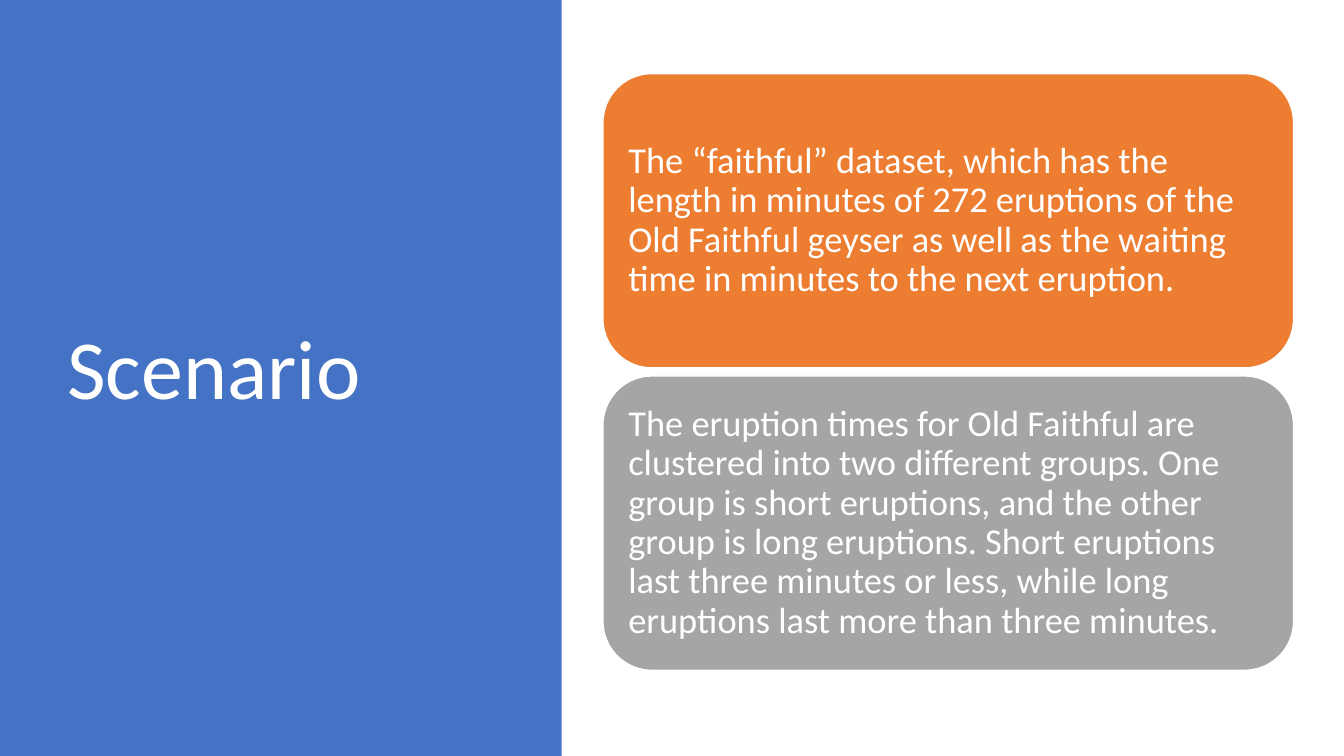
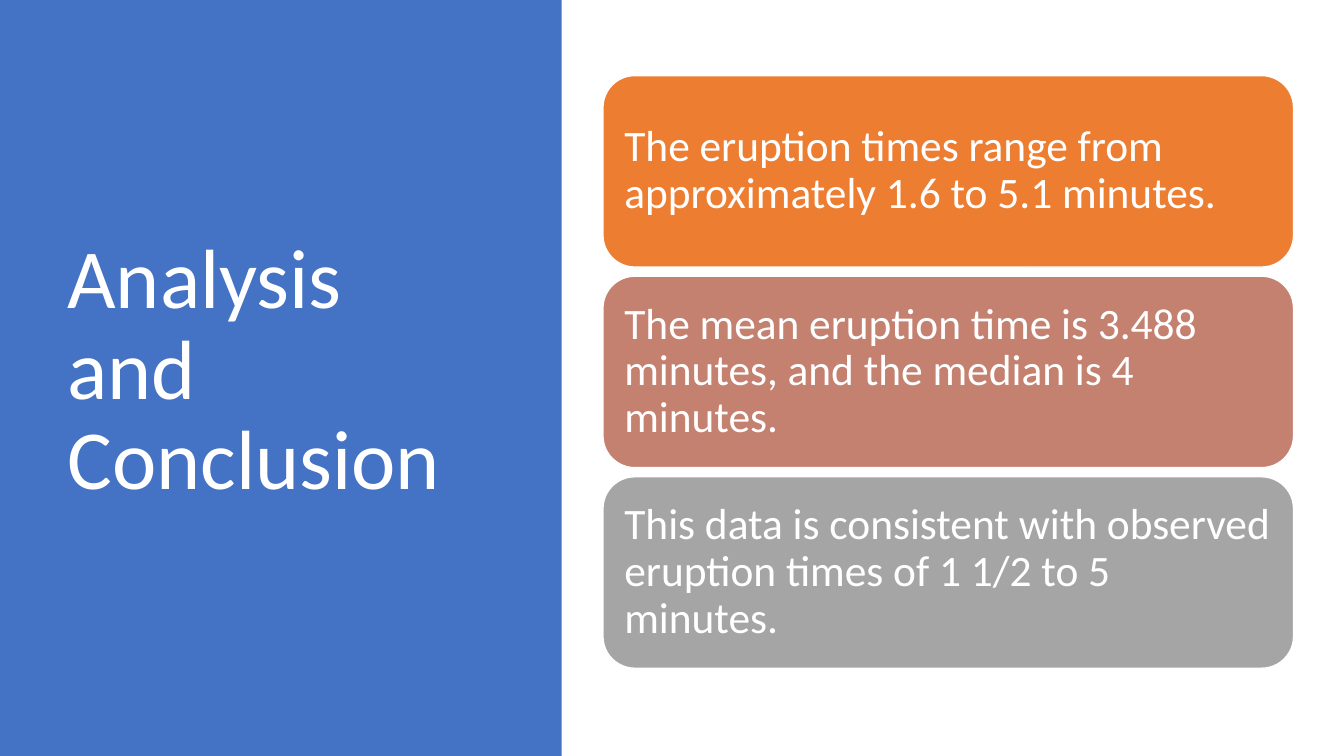
from pptx import Presentation
from pptx.dml.color import RGBColor
from pptx.enum.shapes import MSO_SHAPE
from pptx.enum.text import MSO_ANCHOR, PP_ALIGN
from pptx.util import Inches, Pt

# Shared style
FONT = "Calibri"
WHITE = RGBColor(0xFF, 0xFF, 0xFF)
BLUE = RGBColor(0x44, 0x72, 0xC4)
ORANGE = RGBColor(0xED, 0x7D, 0x31)
ROSE = RGBColor(0xC4, 0x81, 0x70)
GRAY = RGBColor(0xA5, 0xA5, 0xA5)
CARD_LEFT, CARD_WIDTH = 5.98, 6.85

# Per slide: title, first card top, card height, gap, inset, text size, cards
SLIDES = [
    ("Scenario", 0.73, 2.92, 0.08, 0.11, 26, [
        (ORANGE, "The “faithful” dataset, which has the length in minutes of 272 "
                 "eruptions of the Old Faithful geyser as well as the waiting time "
                 "in minutes to the next eruption."),
        (GRAY, "The eruption times for Old Faithful are clustered into two different "
               "groups. One group is short eruptions, and the other group is long "
               "eruptions. Short eruptions last three minutes or less, while long "
               "eruptions last more than three minutes."),
    ]),
    ("Analysis and Conclusion", 0.75, 1.9, 0.09, 0.12, 31, [
        (ORANGE, "The eruption times range from approximately 1.6 to 5.1 minutes."),
        (ROSE, "The mean eruption time is 3.488 minutes, and the median is 4 minutes."),
        (GRAY, "This data is consistent with observed eruption times of 1 1/2 to 5 "
               "minutes."),
    ]),
]


def add_block(s, kind, left, top, width, height, color):
    sp = s.shapes.add_shape(kind, Inches(left), Inches(top), Inches(width), Inches(height))
    sp.shadow.inherit = False
    sp.fill.solid()
    sp.fill.fore_color.rgb = color
    return sp


def write(tf, text, size):
    tf.word_wrap = True
    tf.vertical_anchor = MSO_ANCHOR.MIDDLE
    p = tf.paragraphs[0]
    p.alignment = PP_ALIGN.LEFT
    p.line_spacing = 0.9
    r = p.add_run()
    r.text = text
    r.font.name = FONT
    r.font.size = Pt(size)
    r.font.color.rgb = WHITE


prs = Presentation()
prs.slide_width, prs.slide_height = Inches(13.33), Inches(7.5)

for title, first_top, height, gap, inset, size, cards in SLIDES:
    s = prs.slides.add_slide(prs.slide_layouts[6])

    # Title panel
    panel = add_block(s, MSO_SHAPE.RECTANGLE, 0, 0, 5.57, 7.5, BLUE)
    panel.line.fill.background()
    tb = s.shapes.add_textbox(Inches(0.57), Inches(0.68), Inches(4.16), Inches(6.02))
    write(tb.text_frame, title, 60)

    # Stacked cards
    for i, (color, text) in enumerate(cards):
        top = first_top + i * (height + gap)
        card = add_block(s, MSO_SHAPE.ROUNDED_RECTANGLE, CARD_LEFT, top,
                         CARD_WIDTH, height, color)
        card.line.color.rgb = WHITE
        card.line.width = Pt(1)
        tf = card.text_frame
        tf.margin_left = tf.margin_right = Inches(inset)
        tf.margin_top = tf.margin_bottom = Inches(inset)
        write(tf, text, size)

prs.save("out.pptx")
